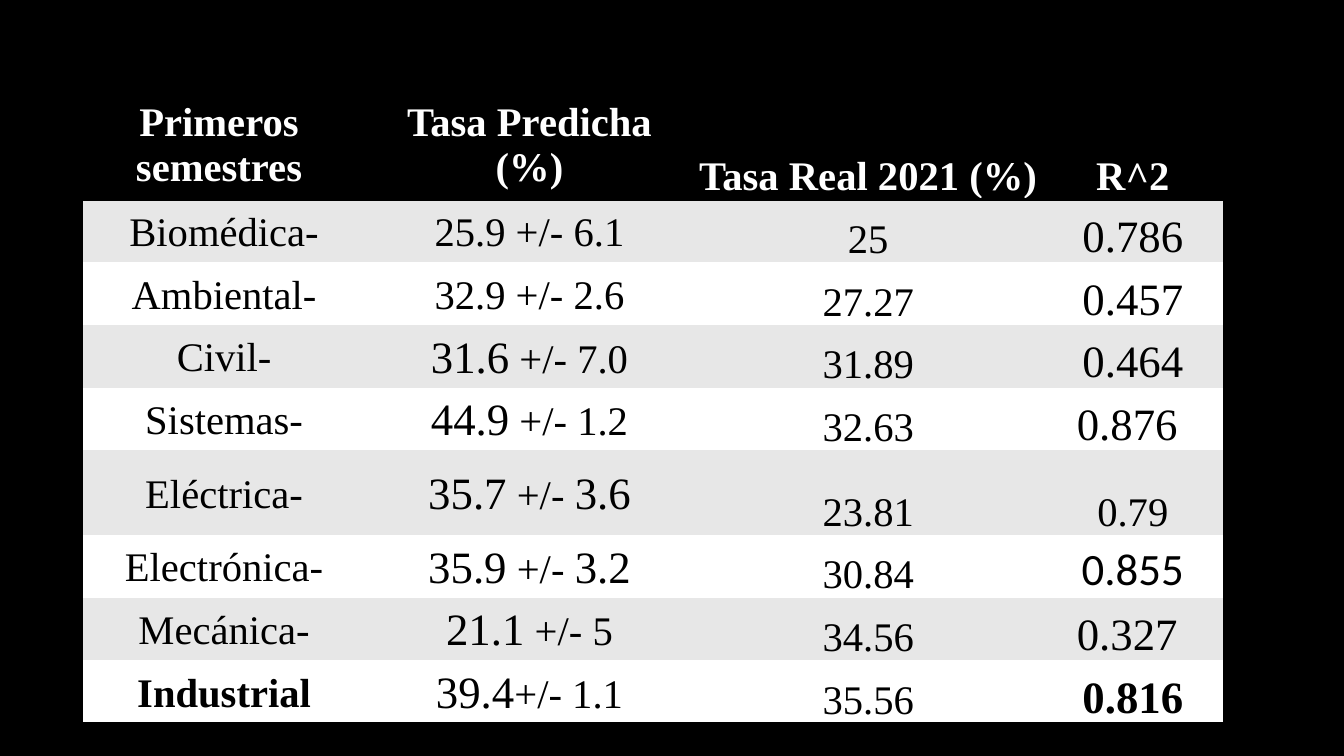
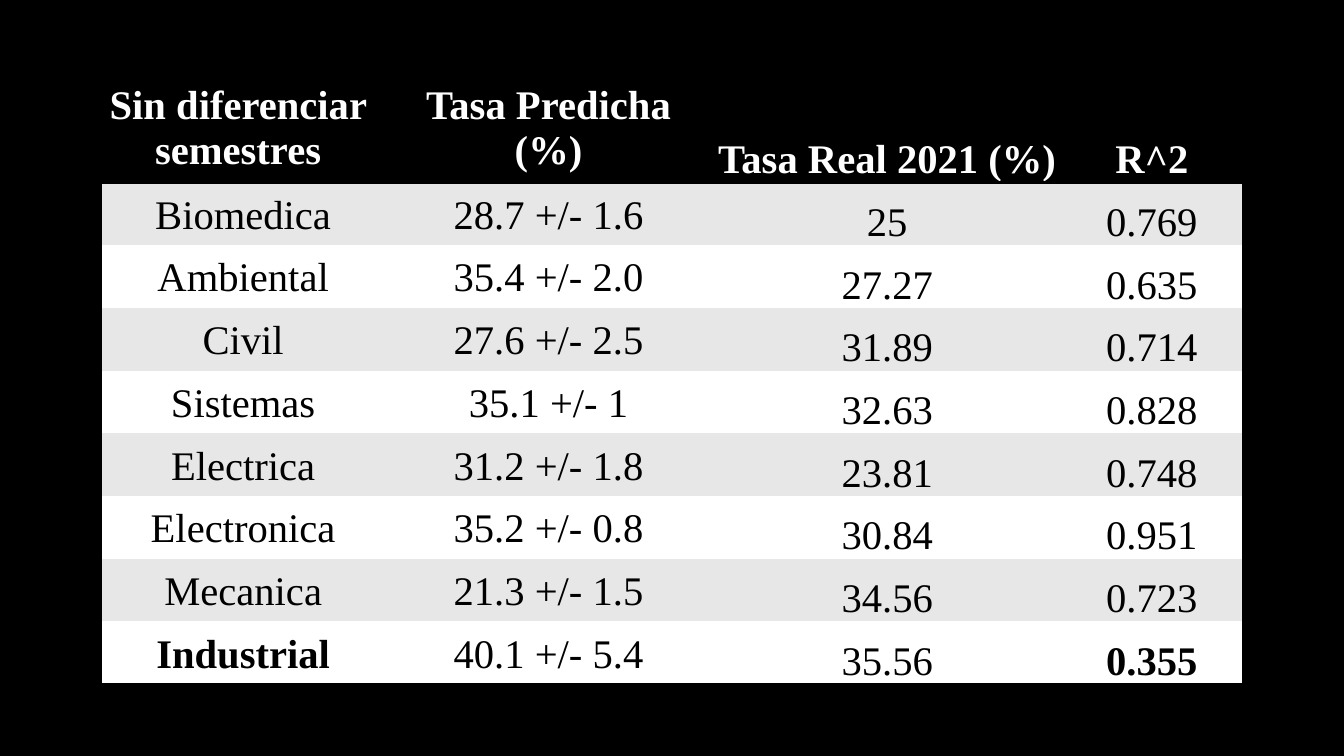
"""Two slides comparing predicted and real rates by degree programme."""
from dataclasses import dataclass

from lxml.etree import SubElement
from pptx import Presentation
from pptx.dml.color import RGBColor
from pptx.enum.text import MSO_ANCHOR, PP_ALIGN
from pptx.oxml.ns import qn
from pptx.util import Cm, Pt


@dataclass(frozen=True)
class Theme:
    """Colours, fonts and type sizes shared by the slides."""
    dark: str = "000000"
    light: str = "FFFFFF"
    band: str = "E7E7E7"
    serif: str = "Times New Roman"
    sans: str = "Calibri"
    regular: int = 29
    large: int = 32
    rule: int = 2
    plain_table: str = "{2D5ABB26-0587-4C30-8999-92F81FD0307C}"


THEME = Theme()


@dataclass(frozen=True)
class Span:
    """A stretch of text with its own formatting."""
    text: str
    size: int = THEME.regular
    font: str = THEME.serif
    bold: bool = False


def large(text, **style):
    """Return a span in the large type size."""
    return Span(text, THEME.large, **style)


COLUMN_WIDTHS = (7.14, 8.25, 8.82, 4.52)
COLUMN_ANCHORS = (MSO_ANCHOR.MIDDLE, MSO_ANCHOR.MIDDLE, MSO_ANCHOR.BOTTOM, MSO_ANCHOR.BOTTOM)
HEADER_HEIGHT, ROW_HEIGHT = 2.82, 1.58
REAL_RATES = ("25", "27.27", "31.89", "32.63", "23.81", "30.84", "34.56", "35.56")

FIRST_SEMESTERS = (
    ("Biomédica-", "25.9 +/- 6.1", large("0.786")),
    ("Ambiental-", "32.9 +/- 2.6", large("0.457")),
    ("Civil-", (large("31.6"), " +/- 7.0"), large("0.464")),
    ("Sistemas-", (large("44.9"), " +/- 1.2"), large("0.876 ")),
    ("Eléctrica-", (large("35.7"), " +/- ", large("3.6")), "0.79"),
    ("Electrónica-", (large("35.9"), " +/- ", large("3.2")), large("0.855", font=THEME.sans)),
    ("Mecánica-", (large("21.1"), " +/- 5"), large("0.327 ")),
    (Span("Industrial", bold=True), (large("39.4"), "+/- 1.1"), large("0.816", bold=True)),
)

ALL_SEMESTERS = (
    ("Biomedica", "28.7 +/- 1.6", "0.769"),
    ("Ambiental", "35.4 +/- 2.0", "0.635"),
    ("Civil", "27.6 +/- 2.5", "0.714"),
    ("Sistemas", "35.1 +/- 1", "0.828"),
    ("Electrica", "31.2 +/- 1.8", "0.748"),
    ("Electronica", "35.2 +/- 0.8", "0.951"),
    ("Mecanica", "21.3 +/- 1.5", "0.723"),
    (Span("Industrial", bold=True), "40.1 +/- 5.4", Span("0.355", bold=True)),
)


class Deck:
    """Holds the theme and the current slide, and draws on it."""

    def __init__(self, theme):
        """Start a widescreen presentation on a dark background."""
        self.theme = theme
        self.presentation = Presentation()
        self.presentation.slide_width = Cm(33.87)
        self.presentation.slide_height = Cm(19.05)
        background = self.presentation.slide_master.background.fill
        background.solid()
        background.fore_color.rgb = RGBColor.from_string(theme.dark)
        self.slide = None

    def add_slide(self):
        """Make a blank slide the current one."""
        self.slide = self.presentation.slides.add_slide(self.presentation.slide_layouts[6])

    def add_rule(self, cell, edge):
        """Draw a dark rule on one edge of a cell."""
        line = SubElement(cell._tc.get_or_add_tcPr(), qn(f"a:{edge}"), w=str(Pt(self.theme.rule)))
        fill = SubElement(line, qn("a:solidFill"))
        SubElement(fill, qn("a:srgbClr"), val=self.theme.dark)

    def add_paragraph(self, paragraph, spans, color):
        """Write centred spans into a paragraph."""
        paragraph.alignment = PP_ALIGN.CENTER
        for span in spans:
            run = paragraph.add_run()
            run.text = span.text
            run.font.size = Pt(span.size)
            run.font.name = span.font
            run.font.bold = span.bold
            run.font.color.rgb = RGBColor.from_string(color)

    def fill_cell(self, cell, lines, anchor, fill, color, edges):
        """Set the edges, fill, margins and text of a cell."""
        for edge in edges:
            self.add_rule(cell, edge)
        cell.fill.solid()
        cell.fill.fore_color.rgb = RGBColor.from_string(fill)
        cell.vertical_anchor = anchor
        cell.margin_left = cell.margin_right = cell.margin_top = Cm(0.08)
        cell.margin_bottom = 0
        for index, spans in enumerate(lines):
            frame = cell.text_frame
            paragraph = frame.add_paragraph() if index else frame.paragraphs[0]
            self.add_paragraph(paragraph, spans, color)

    def add_rate_table(self, left, top, scope, results, tall_rows=None):
        """Add the table of predicted and real rates for a scope."""
        heights = [HEADER_HEIGHT] + [ROW_HEIGHT] * len(results)
        for row, height in (tall_rows or {}).items():
            heights[row] = height
        frame = self.slide.shapes.add_table(
            len(heights), len(COLUMN_WIDTHS), Cm(left), Cm(top),
            Cm(sum(COLUMN_WIDTHS)), Cm(sum(heights)))
        frame.element.find(f".//{qn('a:tableStyleId')}").text = self.theme.plain_table
        table = frame.table
        table.first_row = table.horz_banding = False
        for column, width in zip(table.columns, COLUMN_WIDTHS):
            column.width = Cm(width)
        for row, height in zip(table.rows, heights):
            row.height = Cm(height)

        headings = (scope, ("Tasa Predicha (%)",), ("Tasa Real 2021 (%)",), ("R^2",))
        for column, heading in enumerate(headings):
            lines = [[Span(text, bold=True)] for text in heading]
            self.fill_cell(table.cell(0, column), lines, COLUMN_ANCHORS[column],
                           self.theme.dark, self.theme.light, ("lnT", "lnB"))

        for row, ((degree, predicted, fit), real) in enumerate(zip(results, REAL_RATES), 1):
            fill = self.theme.band if row % 2 else self.theme.light
            edges = ("lnB",) if row == len(results) else ()
            for column, content in enumerate((degree, predicted, real, fit)):
                parts = content if isinstance(content, tuple) else (content,)
                spans = [part if isinstance(part, Span) else Span(part) for part in parts]
                self.fill_cell(table.cell(row, column), [spans], COLUMN_ANCHORS[column],
                               fill, self.theme.dark, edges)


def main():
    """Build and save both slides."""
    deck = Deck(THEME)
    deck.add_slide()
    deck.add_rate_table(2.08, 2.21, ("Primeros ", "semestres "), FIRST_SEMESTERS, {5: 2.13})
    deck.add_slide()
    deck.add_rate_table(2.56, 1.78, ("Sin diferenciar ", "semestres "), ALL_SEMESTERS)
    deck.presentation.save("out.pptx")


if __name__ == "__main__":
    main()
